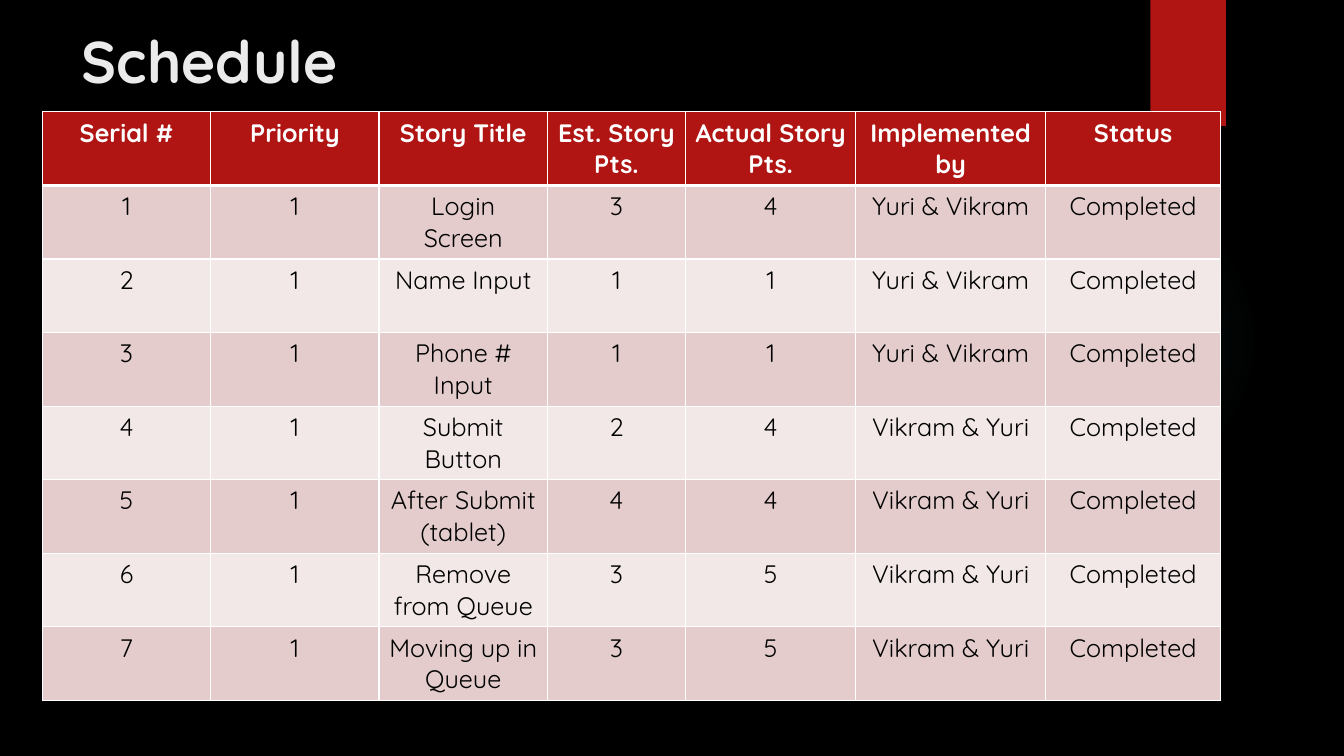
import lxml.etree
import pptx
import pptx.dml.color
import pptx.enum.shapes
import pptx.enum.text
import pptx.oxml
import pptx.oxml.ns
import pptx.util

Inches = pptx.util.Inches
Pt = pptx.util.Pt
RGBColor = pptx.dml.color.RGBColor
Shape = pptx.enum.shapes.MSO_SHAPE
Align = pptx.enum.text.PP_ALIGN
Anchor = pptx.enum.text.MSO_ANCHOR

BLACK = RGBColor(0x00, 0x00, 0x00)
WHITE = RGBColor(0xFF, 0xFF, 0xFF)
OFF_WHITE = RGBColor(0xEB, 0xEB, 0xEB)
RED = RGBColor(0xB0, 0x15, 0x13)
ROSE = RGBColor(0xE4, 0xCC, 0xCC)
PALE_ROSE = RGBColor(0xF2, 0xE8, 0xE7)
TEAL = RGBColor(0x50, 0xB9, 0xC1)

HEADINGS = ["Serial #", "Priority", "Story Title", "Est. Story Pts.",
            "Actual Story Pts.", "Implemented by", "Status"]
COLUMN_WIDTHS = [1.67, 1.67, 1.67, 1.37, 1.69, 1.88, 1.74]
ROW_HEIGHT = 0.73
# Story title, estimated points, actual points, implementers
STORIES = [
    ("Login Screen", 3, 4, "Yuri & Vikram"),
    ("Name Input", 1, 1, "Yuri & Vikram"),
    ("Phone # Input", 1, 1, "Yuri & Vikram"),
    ("Submit Button", 2, 4, "Vikram & Yuri"),
    ("After Submit (tablet)", 4, 4, "Vikram & Yuri"),
    ("Remove from Queue", 3, 5, "Vikram & Yuri"),
    ("Moving up in Queue", 3, 5, "Vikram & Yuri"),
]


def write_text(frame, text, size=18, color=BLACK, bold=False,
               align=Align.LEFT, font="Quicksand"):
    para = frame.paragraphs[0]
    para.alignment = align
    span = para.add_run()
    span.text = text
    span.font.name = font
    span.font.size = Pt(size)
    span.font.bold = bold
    span.font.color.rgb = color


class SlideBuilder:
    def __init__(self, deck):
        self.page = deck.slides.add_slide(deck.slide_layouts[5])
        background = self.page.background.fill
        background.solid()
        background.fore_color.rgb = BLACK

    def shape(self, kind, left, top, width, height, color):
        box = self.page.shapes.add_shape(
            kind, Inches(left), Inches(top), Inches(width), Inches(height))
        box.shadow.inherit = False
        box.fill.solid()
        box.fill.fore_color.rgb = color
        box.line.fill.background()
        return box

    def glow(self, left, top, size, color, stops):
        box = self.shape(Shape.OVAL, left, top, size, size, color)
        stop_xml = "".join(
            f'<a:gs pos="{place * 1000}"><a:srgbClr val="{color}">'
            f'<a:alpha val="{opacity * 1000}"/></a:srgbClr></a:gs>'
            for place, opacity in stops)
        gradient = pptx.oxml.parse_xml(
            f'<a:gradFill {pptx.oxml.ns.nsdecls("a")}><a:gsLst>{stop_xml}</a:gsLst>'
            '<a:path path="circle"><a:fillToRect l="50000" t="50000" '
            'r="50000" b="50000"/></a:path></a:gradFill>')
        properties = box.element.spPr
        properties.replace(properties.find(pptx.oxml.ns.qn("a:solidFill")), gradient)

    def title(self, text, left, top, width, height):
        box = self.page.shapes.title
        box.left, box.top = Inches(left), Inches(top)
        box.width, box.height = Inches(width), Inches(height)
        box.text_frame.vertical_anchor = Anchor.TOP
        box.text_frame.word_wrap = True
        write_text(box.text_frame, text, size=42, color=OFF_WHITE, bold=True)
        # Bring the title in front of the decoration
        self.page.shapes[-1].element.addnext(box.element)

    def cell_borders(self, cell, **widths):
        properties = cell._tc.get_or_add_tcPr()
        for position, side in enumerate("LRTB"):
            border = pptx.oxml.parse_xml(
                f'<a:ln{side} {pptx.oxml.ns.nsdecls("a")} '
                f'w="{Pt(widths.get(side, 1))}"><a:solidFill>'
                f'<a:srgbClr val="{WHITE}"/></a:solidFill></a:ln{side}>')
            properties.insert(position, border)

    def table(self, rows, left, top, widths, row_height):
        table = self.page.shapes.add_table(
            len(rows), len(widths), Inches(left), Inches(top),
            Inches(sum(widths)), Inches(row_height * len(rows))).table
        for column, width in zip(table.columns, widths):
            column.width = Inches(width)
        for index, values in enumerate(rows):
            header = index == 0
            table.rows[index].height = Inches(row_height)
            fill = RED if header else (ROSE if index % 2 else PALE_ROSE)
            borders = {0: {"B": 3}, 1: {"T": 3}}.get(index, {})
            for cell, value in zip(table.rows[index].cells, values):
                cell.fill.solid()
                cell.fill.fore_color.rgb = fill
                write_text(cell.text_frame, str(value), bold=header,
                           color=WHITE if header else BLACK, align=Align.CENTER)
                self.cell_borders(cell, **borders)


deck = pptx.Presentation()
deck.slide_width, deck.slide_height = Inches(13.33), Inches(7.5)
schedule = SlideBuilder(deck)

# Decoration
schedule.glow(9.41, 1.83, 3.08, TEAL, [(0, 7), (36, 6), (69, 0), (100, 0)])
schedule.shape(Shape.RECTANGLE, 11.41, 0, 0.75, 1.25, RED)

# Title
schedule.title("Schedule", 0.71, 0.19, 10.29, 1.53)

# Story table: every story has priority 1 and is completed
story_rows = [(serial, 1, *story, "Completed")
              for serial, story in enumerate(STORIES, start=1)]
schedule.table([HEADINGS] + story_rows, 0.42, 1.11, COLUMN_WIDTHS, ROW_HEIGHT)

deck.save("out.pptx")
